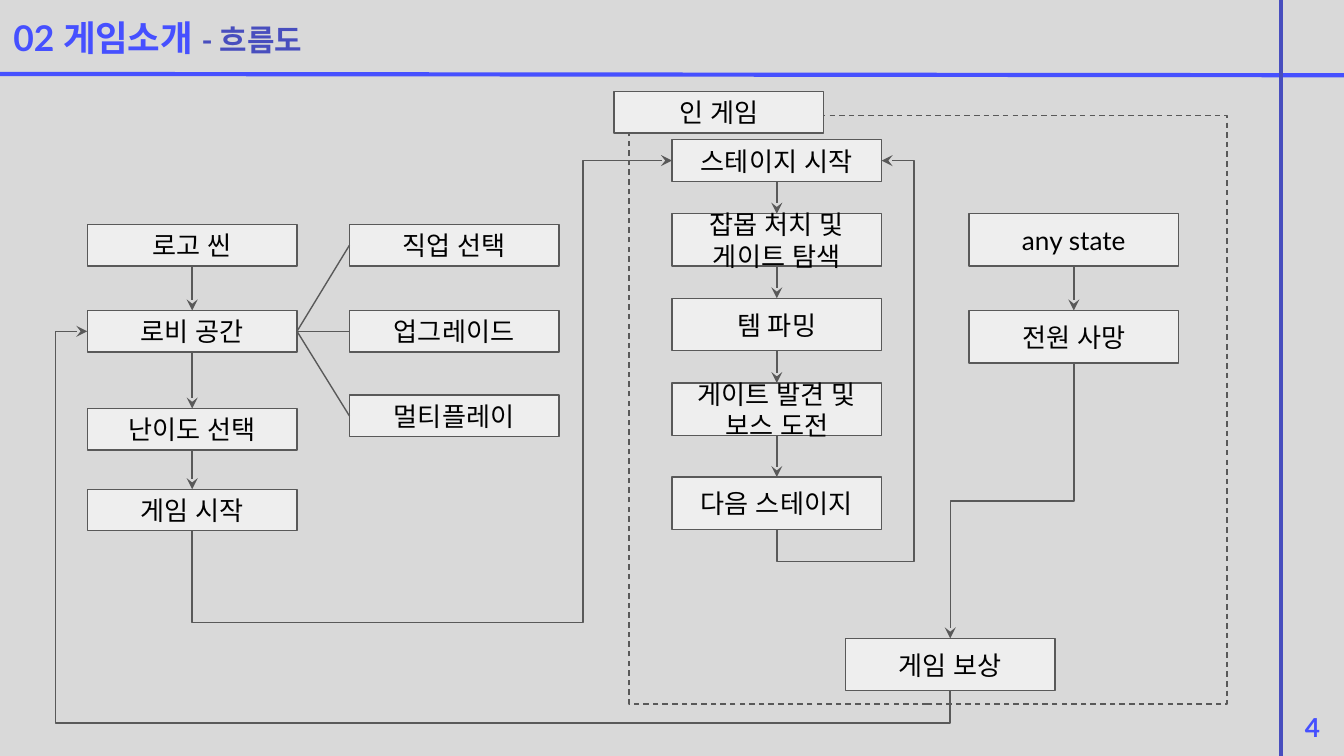
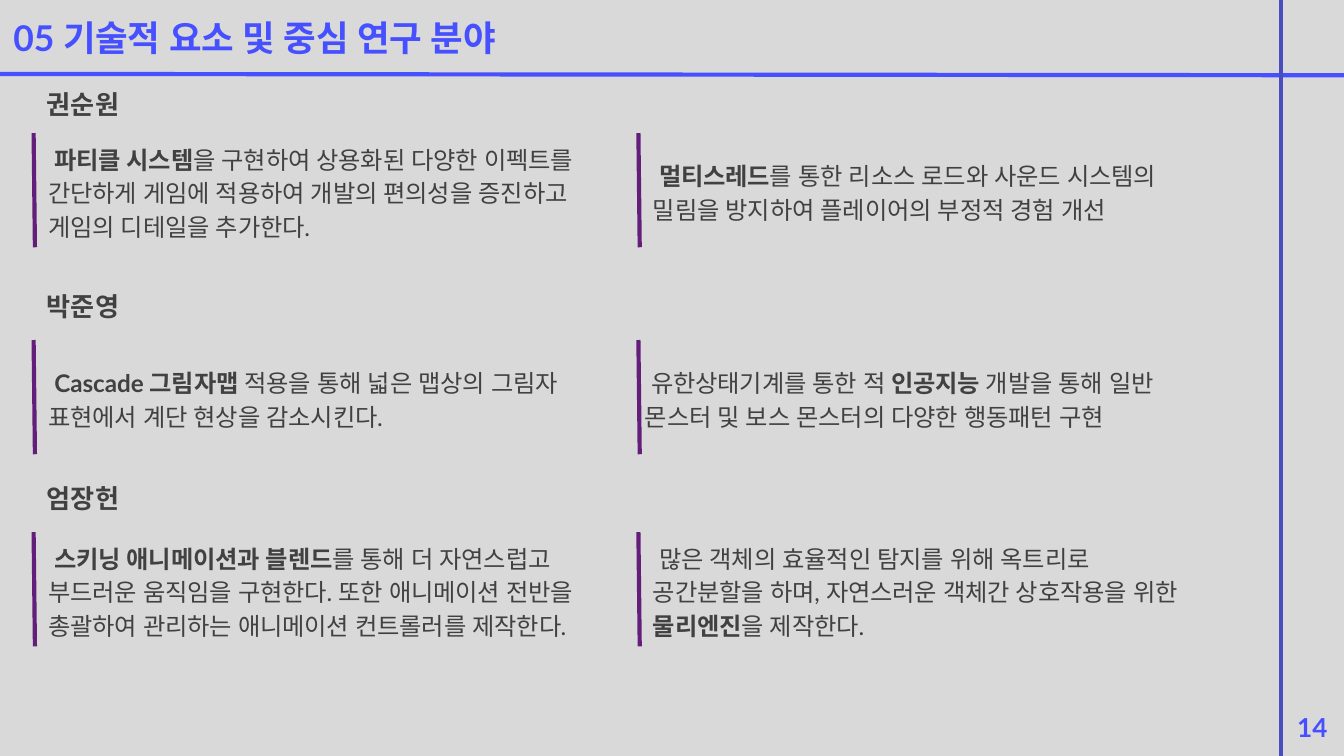
from lxml import etree
from pptx import Presentation
from pptx.dml.color import RGBColor
from pptx.enum.dml import MSO_LINE
from pptx.enum.shapes import MSO_CONNECTOR, MSO_SHAPE
from pptx.enum.text import MSO_ANCHOR, MSO_AUTO_SIZE, PP_ALIGN
from pptx.oxml.ns import qn
from pptx.util import Inches, Pt

RECTANGLE = MSO_SHAPE.RECTANGLE
STRAIGHT, ELBOW = MSO_CONNECTOR.STRAIGHT, MSO_CONNECTOR.ELBOW
LEFT, CENTER = PP_ALIGN.LEFT, PP_ALIGN.CENTER
TOP, MIDDLE = MSO_ANCHOR.TOP, MSO_ANCHOR.MIDDLE
DASH = MSO_LINE.DASH
NO_AUTOFIT = MSO_AUTO_SIZE.NONE

WIDTH, HEIGHT = 10, 5.625
MARGIN_X, HEADER_Y = 9.53, 0.55
FONT = "Lato"
BACKGROUND, BLUE, INDIGO, PURPLE = "D9D9D9", "4650FF", "484EBE", "631E7B"
BOX_FILL, BOX_LINE, BLACK, INK = "EEEEEE", "595959", "000000", "414141"
SIDE_TOP, SIDE_LEFT, SIDE_BOTTOM, SIDE_RIGHT = range(4)

FLOW_TITLE = [("02 게임소개 ", {}), ("- 흐름도", {"size": 16, "color": INDIGO})]
RESEARCH_TITLE = [("05 기술적 요소 및 중심 연구 분야", {})]

BOX_WIDTH, LOW, TALL = 1.56, 0.31, 0.39
INGAME_AREA = (4.68, 0.86, 4.45, 4.38)
FLOW_COLUMNS = [
    (0.65, LOW, [("로고 씬", 1.67), ("로비 공간", 2.31), ("난이도 선택", 3.04), ("게임 시작", 3.64)]),
    (2.6, LOW, [("직업 선택", 1.67), ("업그레이드", 2.31), ("멀티플레이", 2.94)]),
    (4.57, LOW, [("인 게임", 0.68)]),
    (5, LOW, [("스테이지 시작", 1.04)]),
    (5, TALL, [("잡몹 처치 및 게이트 탐색", 1.59), ("템 파밍", 2.22),
               ("게이트 발견 및\n보스 도전", 2.85), ("다음 스테이지", 3.55)]),
    (7.21, TALL, [("any state", 1.59), ("전원 사망", 2.31)]),
    (6.29, TALL, [("게임 보상", 4.75)]),
]
SEQUENCES = [
    ["로고 씬", "로비 공간", "난이도 선택", "게임 시작"],
    ["스테이지 시작", "잡몹 처치 및 게이트 탐색", "템 파밍",
     "게이트 발견 및\n보스 도전", "다음 스테이지"],
    ["any state", "전원 사망"],
]
LOBBY, LOBBY_OPTIONS = "로비 공간", ["직업 선택", "업그레이드", "멀티플레이"]
DETOURS = [
    ("게임 시작", "스테이지 시작", SIDE_LEFT, 4.63, 4.34),
    ("다음 스테이지", "스테이지 시작", SIDE_RIGHT, 4.18, 6.8),
    ("게임 보상", "로비 공간", SIDE_LEFT, 5.38, 0.41),
    ("전원 사망", "게임 보상", SIDE_TOP, 3.73, None),
]

BOLD = {"bold": True}
BAR_COLUMNS, BAR_LENGTH = (0.26, 4.76), 0.85
RESEARCH = [
    ("권순원", 0.56, 0.99, [
        (0.26, [(" ", {}), ("파티클 시스템", BOLD),
                ("을 구현하여 상용화된 다양한 이펙트를 간단하게 게임에 적용하여 "
                 "개발의 편의성을 증진하고 게임의 디테일을 추가한다.", {})]),
        (4.76, [(" ", {}), ("멀티스레드", BOLD),
                ("를 통한 리소스 로드와 사운드 시스템의 밀림을 방지하여 "
                 "플레이어의 부정적 경험 개선", {})]),
    ]),
    ("박준영", 2.06, 2.53, [
        (0.26, [(" ", {}), ("Cascade 그림자맵", BOLD),
                (" 적용을 통해 넓은 맵상의 그림자 표현에서 계단 현상을 감소시킨다.", {})]),
        (4.7, [(" 유한상태기계를 통한 적 ", {}), ("인공지능 ", BOLD),
               ("개발을 통해 일반 몬스터 및 보스 몬스터의 다양한 행동패턴 구현", {})]),
    ]),
    ("엄장헌", 3.49, 3.96, [
        (0.26, [(" ", {}), ("스키닝 애니메이션과 블렌드", BOLD),
                ("를 통해 더 자연스럽고 부드러운 움직임을 구현한다. 또한 애니메이션 "
                 "전반을 총괄하여 관리하는 애니메이션 컨트롤러를 제작한다.", {})]),
        (4.76, [(" 많은 객체의 효율적인 탐지를 위해 옥트리로 공간분할을 하며, "
                 "자연스러운 객체간 상호작용을 위한", {}),
                (" 물리엔진", BOLD), ("을 제작한다.", {})]),
    ]),
]


def rgb(color):
    return RGBColor.from_string(color)


def write(shape, parts, size=14, color=BLACK, bold=False, align=LEFT, anchor=TOP, spacing=None):
    frame = shape.text_frame
    frame.word_wrap = True
    frame.auto_size = NO_AUTOFIT
    frame.vertical_anchor = anchor
    frame.margin_left = frame.margin_right = Inches(0.1)
    frame.margin_top = frame.margin_bottom = Inches(0.1)
    paragraph = frame.paragraphs[0]
    paragraph.alignment = align
    if spacing:
        paragraph.line_spacing = spacing
    for text, style in [(parts, {})] if isinstance(parts, str) else parts:
        for number, piece in enumerate(text.split("\n")):
            if number:
                paragraph.add_line_break()
            run = paragraph.add_run()
            run.text = piece
            run.font.size = Pt(style.get("size", size))
            run.font.bold = style.get("bold", bold)
            run.font.color.rgb = rgb(style.get("color", color))
            run.font.name = FONT
            for script in ("a:ea", "a:cs"):
                etree.SubElement(run.font._element, qn(script), typeface=FONT)


def add_text(slide, area, parts, **style):
    write(slide.shapes.add_textbox(*map(Inches, area)), parts, **style)


def add_rectangle(slide, area, fill=None, dash=None):
    rectangle = slide.shapes.add_shape(RECTANGLE, *map(Inches, area))
    rectangle.shadow.inherit = False
    if fill:
        rectangle.fill.solid()
        rectangle.fill.fore_color.rgb = rgb(fill)
    else:
        rectangle.fill.background()
    rectangle.line.color.rgb = rgb(BOX_LINE)
    rectangle.line.width = Pt(0.75)
    if dash:
        rectangle.line.dash_style = dash
    return rectangle


def style_connector(connector, color=BOX_LINE, width=0.75, arrow=False):
    connector.line.color.rgb = rgb(color)
    connector.line.width = Pt(width)
    properties = connector._element.spPr
    if arrow:
        etree.SubElement(properties.find(qn("a:ln")), qn("a:tailEnd"), type="stealth")
    etree.SubElement(properties, qn("a:effectLst"))


def add_line(slide, start, end, color):
    line = slide.shapes.add_connector(STRAIGHT, *map(Inches, (*start, *end)))
    style_connector(line, color, 2.25)


def join(slide, first, first_side, second, second_side, arrow=False):
    link = slide.shapes.add_connector(STRAIGHT, 0, 0, 0, 0)
    link.begin_connect(first, first_side)
    link.end_connect(second, second_side)
    style_connector(link, arrow=arrow)


def side_point(box, side):
    x = {SIDE_LEFT: 0, SIDE_RIGHT: box.width}.get(side, box.width / 2)
    y = {SIDE_TOP: 0, SIDE_BOTTOM: box.height}.get(side, box.height / 2)
    return box.left + x, box.top + y


def add_detour(slide, first, second, side, turn_y, turn_x):
    x0, y0 = side_point(first, SIDE_BOTTOM)
    x1, y1 = side_point(second, side)
    dx, dy = x1 - x0, y1 - y0
    middle_x, middle_y = (x0 + x1) / 2, (y0 + y1) / 2
    reach = abs(dy) / 2 * (-1 if (dx > 0) == (dy > 0) else 1)
    ends = (middle_x - reach, middle_y - abs(dx) / 2, middle_x + reach, middle_y + abs(dx) / 2)
    detour = slide.shapes.add_connector(ELBOW, *map(int, ends))
    properties = detour._element.spPr
    properties.find(qn("a:xfrm")).set("rot", str((270 if dx > 0 else 90) * 60000))
    shares = [(Inches(turn_y) - y0) / dy]
    if turn_x is not None:
        shares.append((Inches(turn_x) - x0) / dx)
    geometry = properties.find(qn("a:prstGeom"))
    geometry.set("prst", f"bentConnector{len(shares) + 2}")
    adjustments = geometry.find(qn("a:avLst"))
    for number, share in enumerate(shares, 1):
        etree.SubElement(adjustments, qn("a:gd"), name=f"adj{number}",
                         fmla=f"val {round(share * 100000)}")
    style_connector(detour, arrow=True)


def add_page(deck, title, title_width, number):
    slide = deck.slides.add_slide(deck.slide_layouts[5])
    slide.background.fill.solid()
    slide.background.fill.fore_color.rgb = rgb(BACKGROUND)
    heading = slide.shapes.title
    heading.left, heading.top = 0, 0
    heading.width, heading.height = Inches(title_width), Inches(HEADER_Y)
    write(heading, title, size=19, color=BLUE, bold=True, anchor=MIDDLE)
    add_line(slide, (0, HEADER_Y), (WIDTH, HEADER_Y + 0.01), BLUE)
    add_line(slide, (MARGIN_X, HEIGHT), (MARGIN_X, 0), INDIGO)
    add_text(slide, (MARGIN_X, 5.19, WIDTH - MARGIN_X, 0.44), number,
             color=BLUE, bold=True, align=CENTER)
    return slide


def build_flow(deck):
    slide = add_page(deck, FLOW_TITLE, 3.39, "4")
    add_rectangle(slide, INGAME_AREA, dash=DASH)
    steps = {}
    for left, height, entries in FLOW_COLUMNS:
        for label, top in entries:
            steps[label] = add_rectangle(slide, (left, top, BOX_WIDTH, height), BOX_FILL)
            write(steps[label], label, align=CENTER, anchor=MIDDLE)
    for sequence in SEQUENCES:
        for before, after in zip(sequence, sequence[1:]):
            join(slide, steps[before], SIDE_BOTTOM, steps[after], SIDE_TOP, arrow=True)
    for option in LOBBY_OPTIONS:
        join(slide, steps[LOBBY], SIDE_RIGHT, steps[option], SIDE_LEFT)
    for before, after, side, turn_y, turn_x in DETOURS:
        add_detour(slide, steps[before], steps[after], side, turn_y, turn_x)


def build_research(deck):
    slide = add_page(deck, RESEARCH_TITLE, 5.17, "14")
    for member, name_top, bar_top, topics in RESEARCH:
        add_text(slide, (0.25, name_top, 4.5, 0.44), member, color=INK, bold=True)
        for bar_left, (text_left, parts) in zip(BAR_COLUMNS, topics):
            add_line(slide, (bar_left, bar_top + BAR_LENGTH), (bar_left - 0.01, bar_top), PURPLE)
            add_text(slide, (text_left, bar_top - 0.14, 4.14, 1.14), parts,
                     size=13, color=INK, anchor=MIDDLE, spacing=1.15)


def main():
    deck = Presentation()
    deck.slide_width, deck.slide_height = Inches(WIDTH), Inches(HEIGHT)
    build_flow(deck)
    build_research(deck)
    deck.save("out.pptx")


if __name__ == "__main__":
    main()
